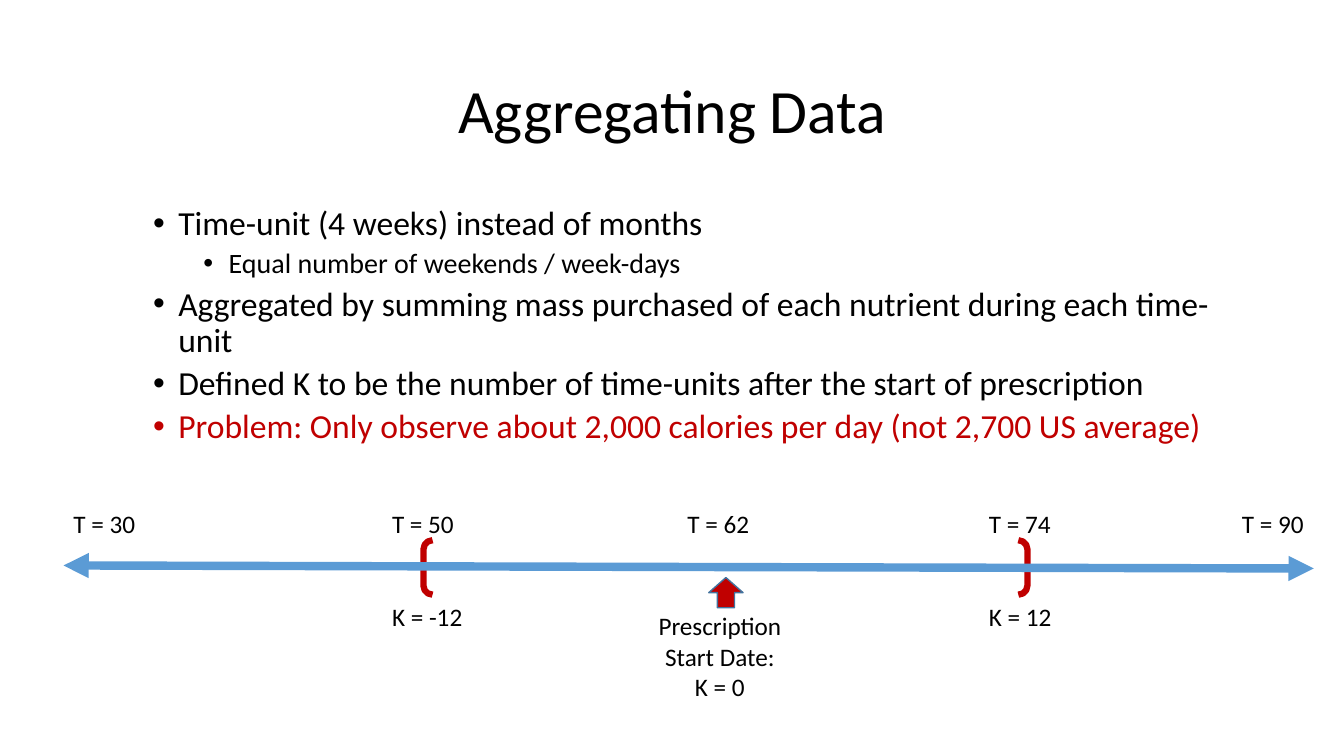
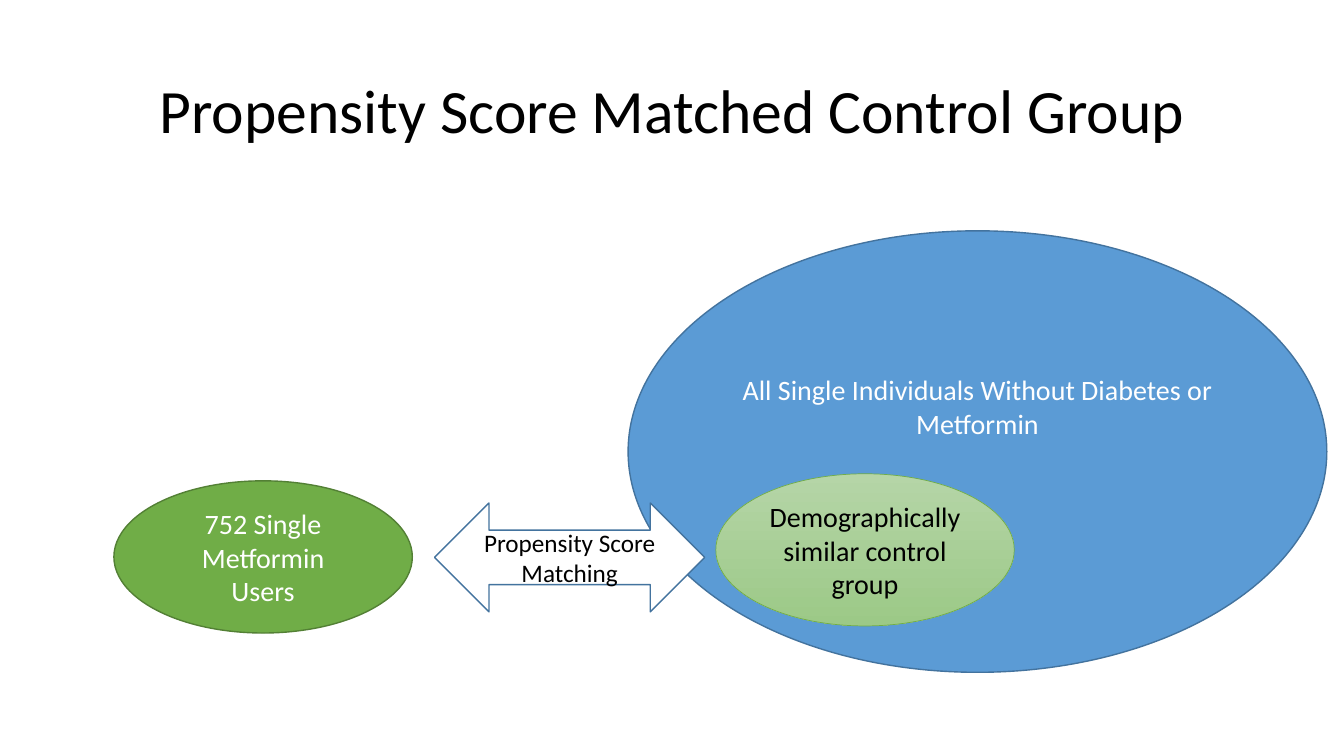
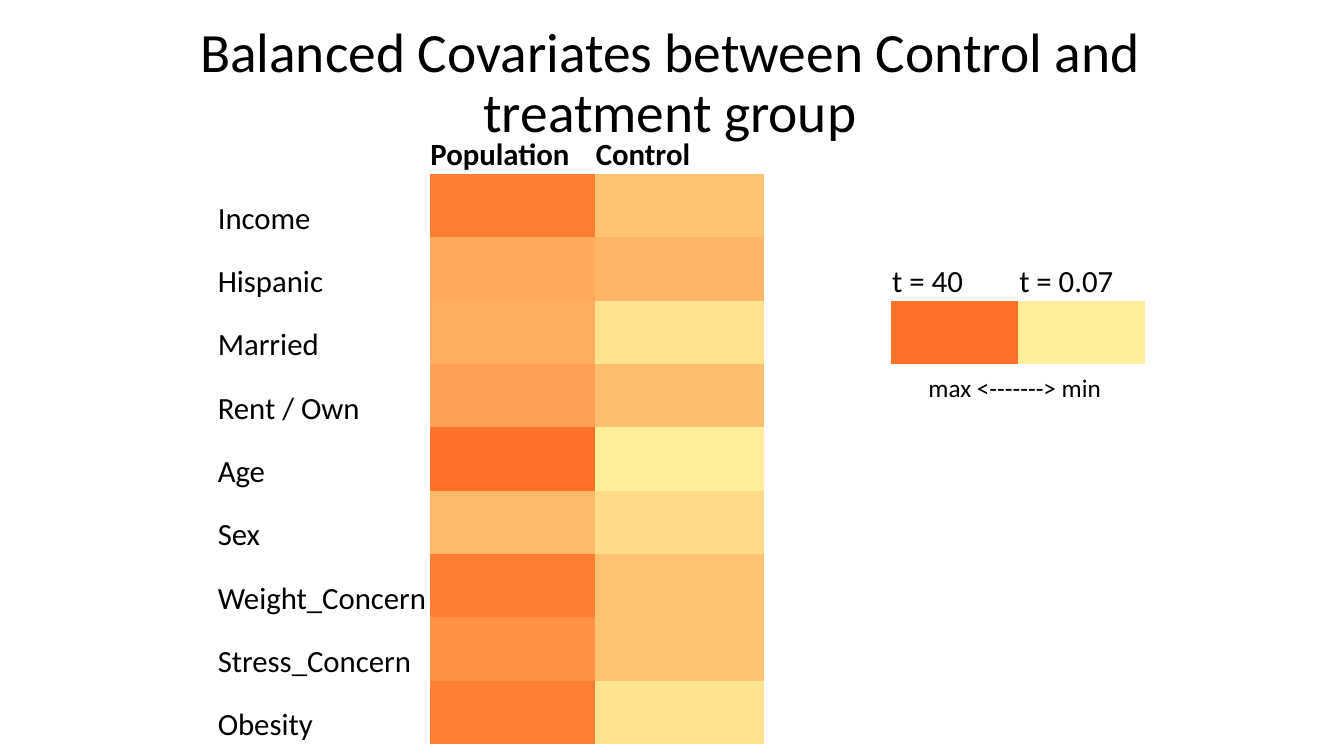
"""Build three slides on purchase data, matched controls and balanced covariates."""
from lxml.etree import SubElement
from pptx import Presentation
from pptx.dml.color import RGBColor
from pptx.enum.shapes import MSO_CONNECTOR, MSO_SHAPE
from pptx.enum.text import MSO_ANCHOR, MSO_AUTO_SIZE, PP_ALIGN
from pptx.oxml.ns import qn
from pptx.util import Emu, Pt

PX = 9144
FONT = "Calibri"
NO_GRID_STYLE = "{2D5ABB26-0587-4C30-8999-92F81FD0307C}"
COLORS = {
    "black": "000000",
    "white": "FFFFFF",
    "red": "C00000",
    "blue": "5B9BD5",
    "blue_edge": "43739E",
    "green": "70AD47",
    "green_edge": "538035",
    "pale_top": "B5D5A7",
    "pale_bottom": "9CC987",
    "heat_max": "FF7128",
    "heat_min": "FFEF9C",
}

BULLETS = [
    (1, "Time-unit (4 weeks) instead of months", "black"),
    (2, "Equal number of weekends / week-days", "black"),
    (1, "Aggregated by summing mass purchased of each nutrient during each time-unit", "black"),
    (1, "Defined K to be the number of time-units after the start of prescription", "black"),
    (1, "Problem: Only observe about 2,000 calories per day (not 2,700 US average)", "red"),
]
BULLET_SIZES = {1: 24, 2: 20}

TIME_LABELS = [
    (63, 499, "T = 30"),
    (379, 499, "T = 50"),
    (672, 499, "T = 62"),
    (971, 499, "T = 74"),
    (1222, 499, "T = 90"),
    (379, 592, "K = -12"),
    (971, 592, "K = 12"),
]

COVARIATES = [
    ("Income", "FF7D33", "FFC373"),
    ("Hispanic", "FFA95C", "FFB566"),
    ("Married", "FFAD5F", "FFE18F"),
    ("Rent / Own", "FFA054", "FFBE6F"),
    ("Age", COLORS["heat_max"], COLORS["heat_min"]),
    ("Sex", "FFB96A", "FFDB89"),
    ("Weight_Concern", "FF7E34", "FFC273"),
    ("Stress_Concern", "FF9044", "FFC272"),
    ("Obesity", "FF7F35", "FFE391"),
]
COLUMN_WIDTHS = [211, 164, 168, 126, 126, 126]


def px(*lengths):
    """Turn px lengths into a list of EMU."""
    return [Emu(length * PX) for length in lengths]


def rgb(name):
    """Look up a named colour."""
    return RGBColor.from_string(COLORS[name])


def style(para, size, color="black", align=None, bold=False):
    """Set the font and alignment of a whole paragraph."""
    para.font.name = FONT
    para.font.size = Pt(size)
    para.font.bold = bold
    para.font.color.rgb = rgb(color)
    if align is not None:
        para.alignment = align


def add_page(deck, title, box=(92, 40, 1150, 145), size=44):
    """Add a title-only page and format its title."""
    page = deck.slides.add_slide(deck.slide_layouts[5])
    holder = page.shapes.title
    holder.left, holder.top, holder.width, holder.height = px(*box)
    frame = holder.text_frame
    frame.text = title
    frame.auto_size = MSO_AUTO_SIZE.NONE
    frame.vertical_anchor = MSO_ANCHOR.MIDDLE
    frame.paragraphs[0].line_spacing = 0.9
    style(frame.paragraphs[0], size, align=PP_ALIGN.CENTER)
    return page


def add_label(page, box, text, align=PP_ALIGN.LEFT):
    """Add a wrapped text box, one paragraph per line of text."""
    frame = page.shapes.add_textbox(*px(*box)).text_frame
    frame.word_wrap = True
    frame.text = text
    for para in frame.paragraphs:
        style(para, 18, align=align)


def add_bullets(page, box, items):
    """Add a bulleted list with two levels."""
    frame = page.shapes.add_textbox(*px(*box)).text_frame
    frame.word_wrap = True
    for index, (level, text, color) in enumerate(items):
        para = frame.add_paragraph() if index else frame.paragraphs[0]
        para.text = text
        para.level = level
        para.line_spacing = 0.9
        if index:
            para.space_before = Pt(5)
        properties = para._p.get_or_add_pPr()
        properties.set("marL", str((25 + 50 * level) * PX))
        properties.set("indent", str(-25 * PX))
        SubElement(properties, qn("a:buFont"), typeface="Arial")
        SubElement(properties, qn("a:buChar"), char="•")
        style(para, BULLET_SIZES[level], color)


def add_figure(page, kind, box, fill, edge, weight=1):
    """Add a preset shape; fill is a colour, a pair for a gradient, or None."""
    shape = page.shapes.add_shape(kind, *px(*box))
    shape.shadow.inherit = False
    if fill is None:
        shape.fill.background()
    elif isinstance(fill, tuple):
        shape.fill.gradient()
        shape.fill.gradient_angle = 270
        for stop, color in zip(shape.fill.gradient_stops, fill):
            stop.color.rgb = rgb(color)
    else:
        shape.fill.solid()
        shape.fill.fore_color.rgb = rgb(fill)
    shape.line.color.rgb = rgb(edge)
    shape.line.width = Pt(weight)
    return shape


def write_inside(shape, text, size, color):
    """Centre text inside a shape."""
    frame = shape.text_frame
    frame.word_wrap = True
    frame.text = text
    frame.vertical_anchor = MSO_ANCHOR.MIDDLE
    style(frame.paragraphs[0], size, color, PP_ALIGN.CENTER)
    return frame


def add_double_arrow(page, ends, color, weight):
    """Add a straight line with an arrowhead at both ends."""
    line = page.shapes.add_connector(MSO_CONNECTOR.STRAIGHT, *px(*ends))
    line.line.color.rgb = rgb(color)
    line.line.width = Pt(weight)
    outline = line.line._get_or_add_ln()
    for end in ("a:headEnd", "a:tailEnd"):
        SubElement(outline, qn(end), type="triangle")
    SubElement(line._element.spPr, qn("a:effectLst"))


def add_plain_table(page, box, row_count, widths):
    """Add a table without banding, borders or fills."""
    table = page.shapes.add_table(row_count, len(widths), *px(*box)).table
    table.first_row = table.horz_banding = False
    table._tbl.tblPr.find(qn("a:tableStyleId")).text = NO_GRID_STYLE
    for column, width in zip(table.columns, px(*widths)):
        column.width = width
    for cell in table.iter_cells():
        cell.fill.background()
    return table


def write_cell(cell, text, bold=False):
    """Write text at the foot of a cell."""
    cell.text = text
    cell.vertical_anchor = MSO_ANCHOR.BOTTOM
    cell.margin_left, cell.margin_right, cell.margin_top, cell.margin_bottom = px(1, 1, 1, 0)
    style(cell.text_frame.paragraphs[0], 22, bold=bold)


def color_cell(cell, value):
    """Fill a cell with a hex colour."""
    cell.fill.solid()
    cell.fill.fore_color.rgb = RGBColor.from_string(value)


def build_timeline(deck):
    """Build the page on aggregating data."""
    page = add_page(deck, "Aggregating Data")
    add_bullets(page, (92, 200, 1150, 260), BULLETS)
    add_figure(page, MSO_SHAPE.DOUBLE_BRACKET, (420, 536, 599, 54), None, "red", 4.5)
    add_double_arrow(page, (63, 561, 1303, 564), "blue", 6)
    add_figure(page, MSO_SHAPE.UP_ARROW, (703, 573, 34, 30), "red", "blue_edge")
    for left, top, text in TIME_LABELS:
        add_label(page, (left, top, 96, 26), text)
    add_label(page, (640, 601, 148, 65), "Prescription Start Date:\nK = 0", PP_ALIGN.CENTER)


def build_matching(deck):
    """Build the page on the matched control group."""
    page = add_page(deck, "Propensity Score Matched Control Group")
    everyone = add_figure(page, MSO_SHAPE.OVAL, (623, 229, 693, 438), "blue", "blue_edge")
    frame = write_inside(
        everyone, "All Single Individuals Without Diabetes or Metformin", 20, "white")
    frame.margin_bottom = px(95)[0]
    users = add_figure(page, MSO_SHAPE.OVAL, (113, 477, 296, 151), "green", "green_edge")
    write_inside(users, "752 Single Metformin Users", 20, "white")
    control = add_figure(
        page, MSO_SHAPE.OVAL, (710, 470, 296, 151), ("pale_top", "pale_bottom"), "green", 0.5)
    write_inside(control, "Demographically similar control group", 20, "black")
    match = add_figure(
        page, MSO_SHAPE.LEFT_RIGHT_ARROW, (431, 499, 268, 108), "white", "blue_edge")
    write_inside(match, "Propensity Score Matching", 18, "black")


def build_covariates(deck):
    """Build the heat map of covariates and its legend."""
    title = "Balanced Covariates between Control and treatment group"
    page = add_page(deck, title, (88, 40, 1153, 88), 39.6)
    table = add_plain_table(page, (215, 110, 921, 628), len(COVARIATES) + 1, COLUMN_WIDTHS)
    for column, heading in enumerate(("Population", "Control"), 1):
        write_cell(table.cell(0, column), heading, bold=True)
    for row, (name, *shades) in enumerate(COVARIATES, 1):
        write_cell(table.cell(row, 0), name)
        for column, shade in enumerate(shades, 1):
            color_cell(table.cell(row, column), shade)
    legend = (("t = 40", "heat_max"), ("t = 0.07", "heat_min"))
    for column, (text, color) in enumerate(legend, 4):
        write_cell(table.cell(2, column), text)
        color_cell(table.cell(3, column), COLORS[color])
    add_label(page, (911, 364, 247, 40), "max <-------> min")


def main():
    """Build and save the deck."""
    deck = Presentation()
    deck.slide_width, deck.slide_height = px(1333, 750)
    build_timeline(deck)
    build_matching(deck)
    build_covariates(deck)
    deck.save("out.pptx")


if __name__ == "__main__":
    main()
